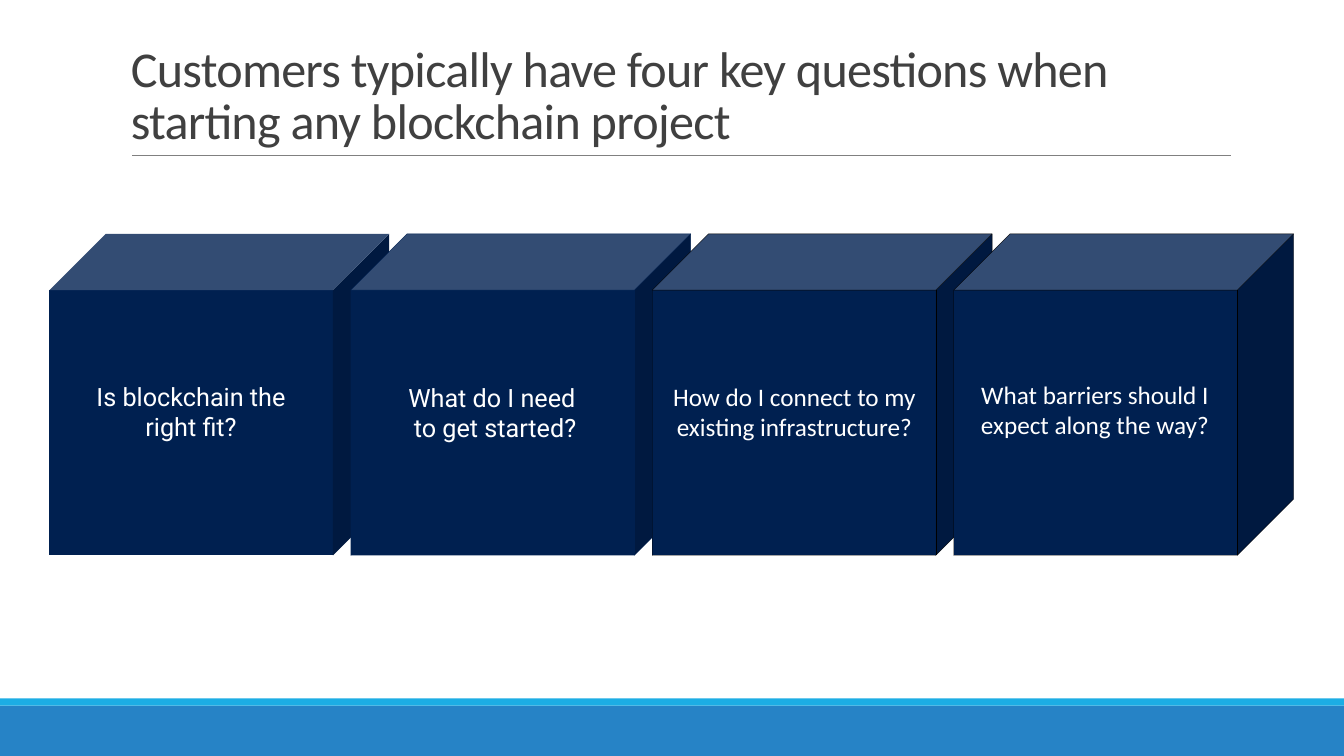
"""Build a slide with four customer questions on a row of cubes."""
from typing import NamedTuple, Optional

from lxml import etree
from pptx import Presentation
from pptx import util as u
from pptx.dml.color import RGBColor
from pptx.enum import shapes, text
from pptx.oxml.ns import qn

PX = u.Inches(1) // 100
PAGE_WIDTH, PAGE_HEIGHT = 1333, 750
NAVY, BLACK, WHITE = "002050", "000000", "FFFFFF"
CUBE_LEFT, CUBE_TOP, CUBE_WIDTH, CUBE_HEIGHT, CUBE_STEP = 49, 232, 337, 319, 299
CUBE_DEPTH = 0.175
QUESTION_HEIGHT = 283


class Box(NamedTuple):
    left: int
    top: int
    width: int
    height: int

    def emu(self) -> list[int]:
        return [length * PX for length in self]


class Band(NamedTuple):
    box: Box
    fill: str


class Question(NamedTuple):
    wording: str
    left: int
    top: int
    width: int
    font: str
    outline: Optional[str]


class Style(NamedTuple):
    font: str
    size: float
    color: str


BANDS = [
    Band(Box(0, 700, PAGE_WIDTH, 50), "2683C6"),
    Band(Box(0, 693, PAGE_WIDTH, 7), "1CADE4"),
]
QUESTIONS = [
    Question("Is blockchain the right fit?", 76, 267, 227, "Roboto", None),
    Question("What do I need \vto get started?", 365, 268, 252, "Roboto", NAVY),
    Question("How do I connect to my existing infrastructure?", 653, 267, 270, "Calibri", BLACK),
    Question("What barriers should I expect along the way?", 960, 265, 252, "Calibri", BLACK),
]


def color(value: str) -> RGBColor:
    return RGBColor.from_string(value)


def add_solid(page, kind, box: Box, fill: str, outline: Optional[str] = None):
    solid = page.shapes.add_shape(kind, *box.emu())
    solid.shadow.inherit = False
    solid.fill.solid()
    solid.fill.fore_color.rgb = color(fill)
    if outline:
        solid.line.color.rgb = color(outline)
        solid.line.width = u.Pt(0.25)
    else:
        solid.line.fill.background()
    return solid


def add_text(page, box: Box, wording: str, style: Style, anchor):
    frame = page.shapes.add_textbox(*box.emu()).text_frame
    frame.word_wrap = True
    frame.vertical_anchor = anchor
    frame.text = wording
    para = frame.paragraphs[0]
    for span in para.runs:
        span.font.name = style.font
        span.font.size = u.Pt(style.size)
        span.font.color.rgb = color(style.color)
    return frame


def add_title(page) -> None:
    frame = add_text(
        page,
        Box(120, 21, 1100, 132),
        "Customers typically have four key questions when starting any blockchain project",
        Style("Calibri", 35.8, "404040"),
        text.MSO_ANCHOR.BOTTOM,
    )
    para = frame.paragraphs[0]
    para.line_spacing = 0.85
    for span in para.runs:
        span._r.get_or_add_rPr().set("spc", "-50")


def add_rule(page) -> None:
    ends = Box(131, 154, 1221, 154).emu()
    rule = page.shapes.add_connector(shapes.MSO_CONNECTOR.STRAIGHT, *ends)
    rule.line.color.rgb = color("808080")
    rule.line.width = u.Pt(0.5)
    etree.SubElement(rule._element.spPr, qn("a:effectLst"))


def add_question(page, index: int, question: Question) -> None:
    cube_box = Box(CUBE_LEFT + index * CUBE_STEP, CUBE_TOP, CUBE_WIDTH, CUBE_HEIGHT)
    cube = add_solid(page, shapes.MSO_SHAPE.CUBE, cube_box, NAVY, question.outline)
    cube.adjustments[0] = CUBE_DEPTH
    frame = add_text(
        page,
        Box(question.left, question.top, question.width, QUESTION_HEIGHT),
        question.wording,
        Style(question.font, 18, WHITE),
        text.MSO_ANCHOR.MIDDLE,
    )
    frame.margin_left = frame.margin_right = frame.margin_top = frame.margin_bottom = 0
    para = frame.paragraphs[0]
    para.alignment = text.PP_ALIGN.CENTER
    para.space_after = u.Pt(6)


def main() -> None:
    deck = Presentation()
    deck.slide_width, deck.slide_height = PAGE_WIDTH * PX, PAGE_HEIGHT * PX
    page = deck.slides.add_slide(deck.slide_layouts[6])
    for band in BANDS:
        add_solid(page, shapes.MSO_SHAPE.RECTANGLE, band.box, band.fill)
    add_rule(page)
    add_title(page)
    for index, question in enumerate(QUESTIONS):
        add_question(page, index, question)
    deck.save("out.pptx")


if __name__ == "__main__":
    main()
